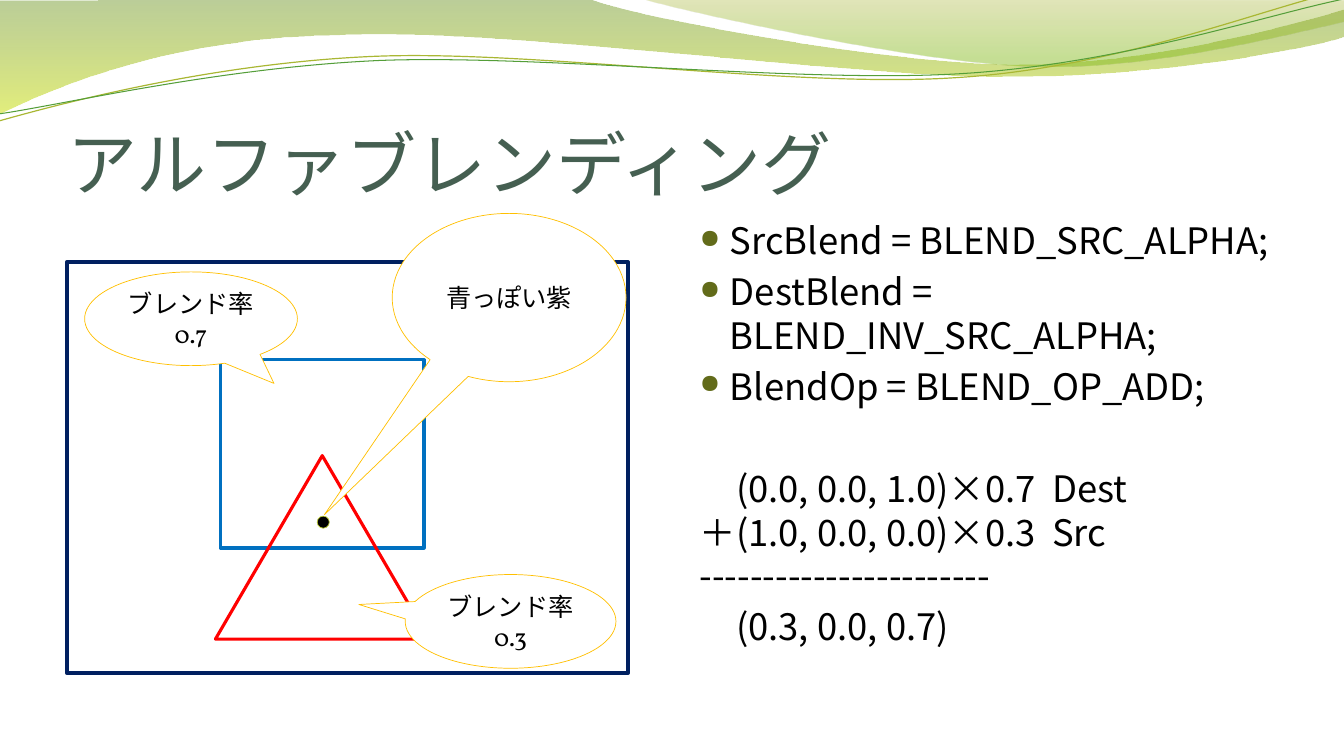
"""Build a slide that explains alpha blending with overlapping shapes."""
from lxml import etree
from pptx import Presentation
from pptx.dml.color import RGBColor
from pptx.enum.shapes import MSO_SHAPE
from pptx.enum.text import MSO_ANCHOR, PP_ALIGN
from pptx.oxml.ns import qn
from pptx.util import Inches, Pt

RECTANGLE, TRIANGLE = MSO_SHAPE.RECTANGLE, MSO_SHAPE.ISOSCELES_TRIANGLE
OVAL, CALLOUT = MSO_SHAPE.OVAL, MSO_SHAPE.OVAL_CALLOUT
TOP, MIDDLE, BOTTOM = MSO_ANCHOR.TOP, MSO_ANCHOR.MIDDLE, MSO_ANCHOR.BOTTOM
LEFT, CENTER = PP_ALIGN.LEFT, PP_ALIGN.CENTER

SANS, SERIF = "Noto Sans CJK JP", "Vollkorn"
COLORS = {
    "title": "455F51", "text": "000000", "bullet": "626B1A", "white": "FFFFFF",
    "navy": "002060", "blue": "0070C0", "red": "FF0000", "amber": "FFC000",
    "olive": "C0CF3A", "moss": "69921C", "lime": "CCE10F", "khaki": "9BAA1A",
    "leaf": "81BA16", "thread": "A9B733", "green": "549E39",
}

TITLE = "アルファブレンディング"
TITLE_BOX = (5, 10.27, 90, 16.67)
BODY_BOX = (51.32, 28.23, 47.55, 63.33)
SETTINGS = [
    "SrcBlend = BLEND_SRC_ALPHA;",
    "DestBlend = BLEND_INV_SRC_ALPHA;",
    "BlendOp = BLEND_OP_ADD;",
]
SUM_LINES = ["　(0.0, 0.0, 1.0)×0.7  Dest", "＋(1.0, 0.0, 0.0)×0.3  Src", "-----------------------"]
RESULT = "　(0.3, 0.0, 0.7)"
BODY_SIZE, BODY_GAP, SUM_GAP = 26, 5.2, 41.8

# kind, box in percent of the slide, fill, line, line width, callout tip, text
FIGURES = [
    (RECTANGLE, (4.98, 34.67, 41.75, 54.35), None, "navy", 3, None, []),
    (RECTANGLE, (16.4, 47.6, 15.15, 24.9), None, "blue", 2.25, None, []),
    (TRIANGLE, (16.03, 60.27, 15.9, 24.27), None, "red", 2.25, None, []),
    (CALLOUT, (29.18, 28.23, 17.4, 22.27), "white", "amber", 0.5, (-0.79, 1.29), ["青っぽい紫"]),
    (OVAL, (23.6, 68.27, 0.9, 1.6), "text", "olive", 0.5, None, []),
    (CALLOUT, (30.15, 76, 15.68, 12.4), "white", "amber", 0.5, (-0.72, -0.18), ["ブレンド率", "0.3"]),
    (CALLOUT, (6.3, 35.97, 15.83, 12.4), "white", "amber", 0.5, (0.39, 0.69), ["ブレンド率", "0.7"]),
]

BANDS = [
    ([(0, 0), (5.87, -0.01), (6.34, 0.17, 8.84, 0.63, 10.11, 0.63),
      (11.37, 0.63, 12.77, 0.26, 13.33, 0.09), (13.34, 0.36),
      (13.11, 0.44, 11.59, 0.76, 9.94, 0.75), (8.29, 0.75, 5.09, 0.28, 3.43, 0.34),
      (1.72, 0.36, 0.61, 0.83, -0.02, 1.13)], [(0, "moss", 45), (1, "lime", 55)]),
    ([(6.38, -0.01), (6.79, 0.11, 9.09, 0.62, 10.25, 0.65),
      (11.4, 0.69, 12.82, 0.32, 13.33, 0.21), (13.33, 0)],
     [(0, "khaki", 30), (0.8, "leaf", 45)]),
]
THREADS = [
    ([(-0.01, 1.19), (0.63, 1.01, 2.1, 0.62, 3.69, 0.55),
      (5.27, 0.48, 7.89, 0.87, 9.49, 0.76), (11.1, 0.66, 12.51, 0.08, 13.3, -0.1)], "thread", 0.85),
    ([(-0.01, 1.12), (0.62, 1.03, 2.18, 0.66, 3.77, 0.59),
      (5.37, 0.53, 7.96, 0.82, 9.55, 0.72), (11.14, 0.62, 12.55, 0.14, 13.33, -0.02)], "green", 0.75),
]
CURVE_DROP = 0.01


def color(name):
    return RGBColor.from_string(COLORS[name])


def add_curve(slide, segments, close):
    points = [(Inches(x), Inches(y + CURVE_DROP))
              for segment in segments for x, y in zip(segment[::2], segment[1::2])]
    builder = slide.shapes.build_freeform(*points[0])
    builder.add_line_segments(points[1:], close=close)
    shape = builder.convert_to_shape()
    shape.shadow.inherit = False
    lines = shape._element.spPr.iter(qn("a:lnTo"))
    steps = iter(list(lines))
    for segment in segments[1:]:
        first = next(steps)
        if len(segment) == 6:
            first.tag
            curve = etree.Element(qn("a:cubicBezTo"))
            first.addprevious(curve)
            for step in (first, next(steps), next(steps)):
                curve.append(step[0])
                step.getparent().remove(step)
    return shape


def add_band(slide, segments, stops):
    shape = add_curve(slide, segments, True)
    shape.line.fill.background()
    shape.fill.gradient()
    shape.fill.gradient_angle = 270
    for stop, (position, name, _) in zip(shape.fill.gradient_stops, stops):
        stop.position = position
        stop.color.rgb = color(name)
    colors = shape._element.spPr.iter(qn("a:srgbClr"))
    for element, (_, _, opacity) in zip(colors, stops):
        etree.SubElement(element, qn("a:alpha"), val=str(opacity * 1000))


def add_thread(slide, segments, name, width):
    shape = add_curve(slide, segments, False)
    shape.fill.background()
    set_line(shape, name, width)


def set_line(shape, name, width):
    shape.line.color.rgb = color(name)
    shape.line.width = Pt(width)


def place(presentation, box):
    width, height = presentation.slide_width, presentation.slide_height
    return [round(share * side / 100) for share, side in zip(box, (width, height) * 2)]


def prepare_frame(shape, anchor):
    frame = shape.text_frame
    frame.word_wrap = True
    frame.vertical_anchor = anchor
    return frame


def write(frame, index, lines, font, size, name, align=LEFT, before=0):
    paragraph = frame.add_paragraph() if index else frame.paragraphs[0]
    paragraph.alignment = align
    paragraph.space_before = Pt(before)
    for number, line in enumerate(lines):
        if number:
            paragraph.add_line_break()
        run = paragraph.add_run()
        run.text = line
        run.font.name = font
        run.font.size = Pt(size)
        run.font.color.rgb = color(name)
        etree.SubElement(run.font._element, qn("a:ea"), typeface=SANS)
    return paragraph


def add_bullet(paragraph):
    properties = paragraph._p.get_or_add_pPr()
    properties.set("marL", str(Inches(0.3)))
    properties.set("indent", str(-Inches(0.3)))
    bullet_color = etree.SubElement(properties, qn("a:buClr"))
    etree.SubElement(bullet_color, qn("a:srgbClr"), val=COLORS["bullet"])
    etree.SubElement(properties, qn("a:buSzPct"), val="72000")
    etree.SubElement(properties, qn("a:buChar"), char="●")


def add_title(presentation, slide):
    frame = prepare_frame(slide.shapes.add_textbox(*place(presentation, TITLE_BOX)), BOTTOM)
    frame.margin_left = frame.margin_right = frame.margin_bottom = 0
    write(frame, 0, [TITLE], SANS, 50, "title").line_spacing = 0.8


def add_body(presentation, slide):
    frame = prepare_frame(slide.shapes.add_textbox(*place(presentation, BODY_BOX)), TOP)
    for index, setting in enumerate(SETTINGS):
        add_bullet(write(frame, index, [setting], SANS, BODY_SIZE, "text", before=BODY_GAP))
    write(frame, 3, SUM_LINES, SANS, BODY_SIZE, "text", before=SUM_GAP)
    write(frame, 4, [RESULT], SANS, BODY_SIZE, "text", before=BODY_GAP)


def add_figure(presentation, slide, kind, box, fill, line, width, tip, lines):
    shape = slide.shapes.add_shape(kind, *place(presentation, box))
    shape.shadow.inherit = False
    set_line(shape, line, width)
    if fill:
        shape.fill.solid()
        shape.fill.fore_color.rgb = color(fill)
    else:
        shape.fill.background()
    if tip:
        shape.adjustments[0], shape.adjustments[1] = tip
    for index, text in enumerate(lines):
        write(prepare_frame(shape, MIDDLE), index, [text], SERIF, 18, "text", CENTER)


def main():
    presentation = Presentation()
    presentation.slide_width, presentation.slide_height = Inches(13.33), Inches(7.5)
    slide = presentation.slides.add_slide(presentation.slide_layouts[6])
    for band in BANDS:
        add_band(slide, *band)
    for thread in THREADS:
        add_thread(slide, *thread)
    add_title(presentation, slide)
    add_body(presentation, slide)
    for figure in FIGURES:
        add_figure(presentation, slide, *figure)
    presentation.save("out.pptx")


if __name__ == "__main__":
    main()
